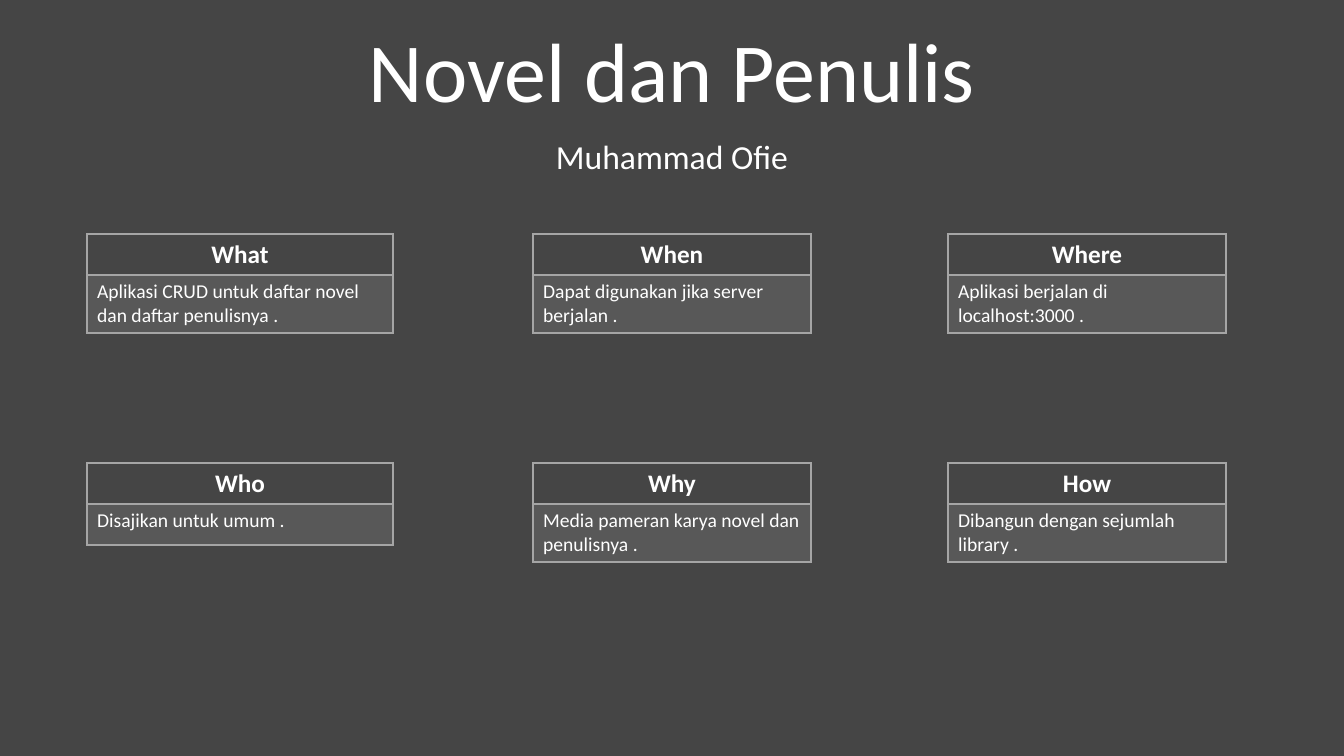
import pptx
import pptx.dml.color
import pptx.enum.text
import pptx.oxml
import pptx.oxml.ns
import pptx.util

# Content
TITLE = "Novel dan Penulis"
AUTHOR = "Muhammad Ofie"
# Each row of cards: (heading, answer, lines in the answer)
CARD_ROWS = [
    [("What", "Aplikasi CRUD untuk daftar novel dan daftar penulisnya .", 2),
     ("When", "Dapat digunakan jika server berjalan .", 2),
     ("Where", "Aplikasi berjalan di localhost:3000 .", 2)],
    [("Who", "Disajikan untuk umum .", 1),
     ("Why", "Media pameran karya novel dan penulisnya .", 2),
     ("How", "Dibangun dengan sejumlah library .", 2)],
]

THEME = {
    "font": "Calibri", "background": "454545", "text": "FFFFFF", "line": "A5A5A5",
    "title": 60, "author": 24, "heading": 18, "answer": 14,
}

# Layout, in pixels
EMU_PER_PIXEL = 914400 / 100.8
COLUMNS = [(87, 306), (533, 278), (948, 278)]  # left, width
ROW_TOPS = [234, 463]
HEADING_HEIGHT = 41
ANSWER_HEIGHTS = {1: 41, 2: 58}

ALIGN = pptx.enum.text.PP_ALIGN
ANCHOR = pptx.enum.text.MSO_ANCHOR


def px(length):
    return pptx.util.Emu(round(length * EMU_PER_PIXEL))


def rgb(name):
    return pptx.dml.color.RGBColor.from_string(THEME[name])


def write_text(frame, text, size, bold=False, align=ALIGN.CENTER, spacing=None):
    frame.word_wrap = True
    paragraph = frame.paragraphs[0]
    paragraph.alignment = align
    paragraph.line_spacing = spacing
    run = paragraph.add_run()
    run.text = text
    run.font.name = THEME["font"]
    run.font.size = pptx.util.Pt(THEME[size])
    run.font.bold = bold
    run.font.color.rgb = rgb("text")


def set_borders(cell, bottom_width):
    properties = cell._tc.get_or_add_tcPr()
    for index, side in enumerate("LRTB"):
        width = pptx.util.Pt(bottom_width if side == "B" else 1)
        properties.insert(index, pptx.oxml.parse_xml(
            f'<a:ln{side} {pptx.oxml.ns.nsdecls("a")} w="{int(width)}"><a:solidFill>'
            f'<a:srgbClr val="{THEME["line"]}"/></a:solidFill></a:ln{side}>'))


def fill_translucent(cell, percent):
    cell.fill.solid()
    cell.fill.fore_color.rgb = rgb("line")
    color = cell._tc.tcPr.xpath("a:solidFill/a:srgbClr")[0]
    color.append(pptx.oxml.parse_xml(
        f'<a:alpha {pptx.oxml.ns.nsdecls("a")} val="{percent * 1000}"/>'))


def add_card(slide, left, top, width, heading, answer, lines):
    heights = (HEADING_HEIGHT, ANSWER_HEIGHTS[lines])
    table = slide.shapes.add_table(
        2, 1, px(left), px(top), px(width), px(sum(heights))).table
    table.first_row = table.horz_banding = False
    for row, height in zip(table.rows, heights):
        row.height = px(height)
    heading_cell, answer_cell = table.cell(0, 0), table.cell(1, 0)
    heading_cell.fill.background()
    fill_translucent(answer_cell, 20)
    set_borders(heading_cell, bottom_width=2)
    set_borders(answer_cell, bottom_width=1)
    write_text(heading_cell.text_frame, heading, "heading", bold=True)
    write_text(answer_cell.text_frame, answer, "answer", align=ALIGN.LEFT)


presentation = pptx.Presentation()
presentation.slide_width, presentation.slide_height = px(1344), px(756)
slide = presentation.slides.add_slide(presentation.slide_layouts[5])
slide.background.fill.solid()
slide.background.fill.fore_color.rgb = rgb("background")

# Title and author
title = slide.shapes.title
title.left, title.top, title.width, title.height = px(168), px(6), px(1008), px(120)
title.text_frame.auto_size = pptx.enum.text.MSO_AUTO_SIZE.NONE
title.text_frame.vertical_anchor = ANCHOR.BOTTOM
write_text(title.text_frame, TITLE, "title", spacing=0.9)
author = slide.shapes.add_textbox(px(168), px(136), px(1008), px(52))
write_text(author.text_frame, AUTHOR, "author", spacing=0.9)

# Question cards
for top, cards in zip(ROW_TOPS, CARD_ROWS):
    for (left, width), card in zip(COLUMNS, cards):
        add_card(slide, left, top, width, *card)

presentation.save("out.pptx")
